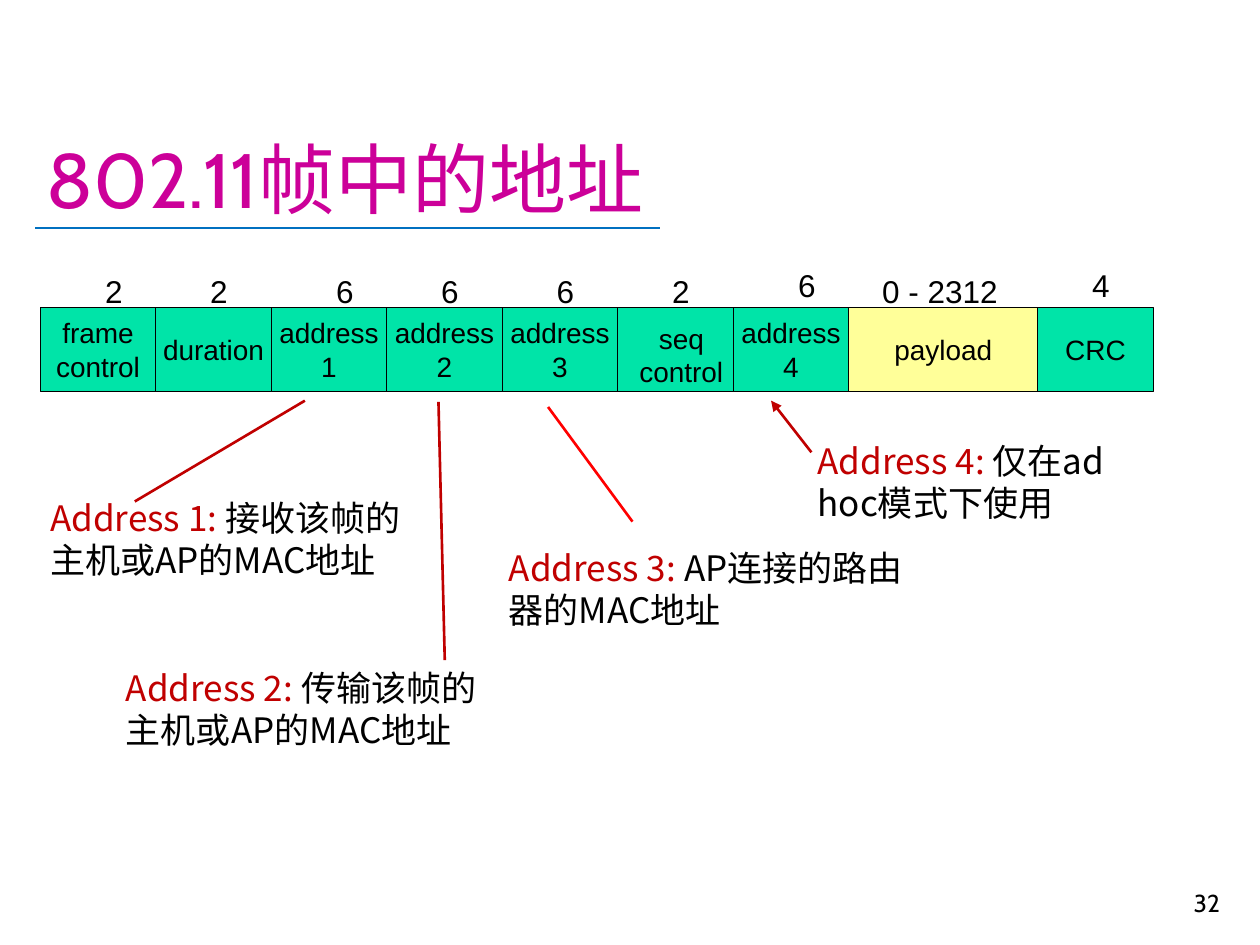
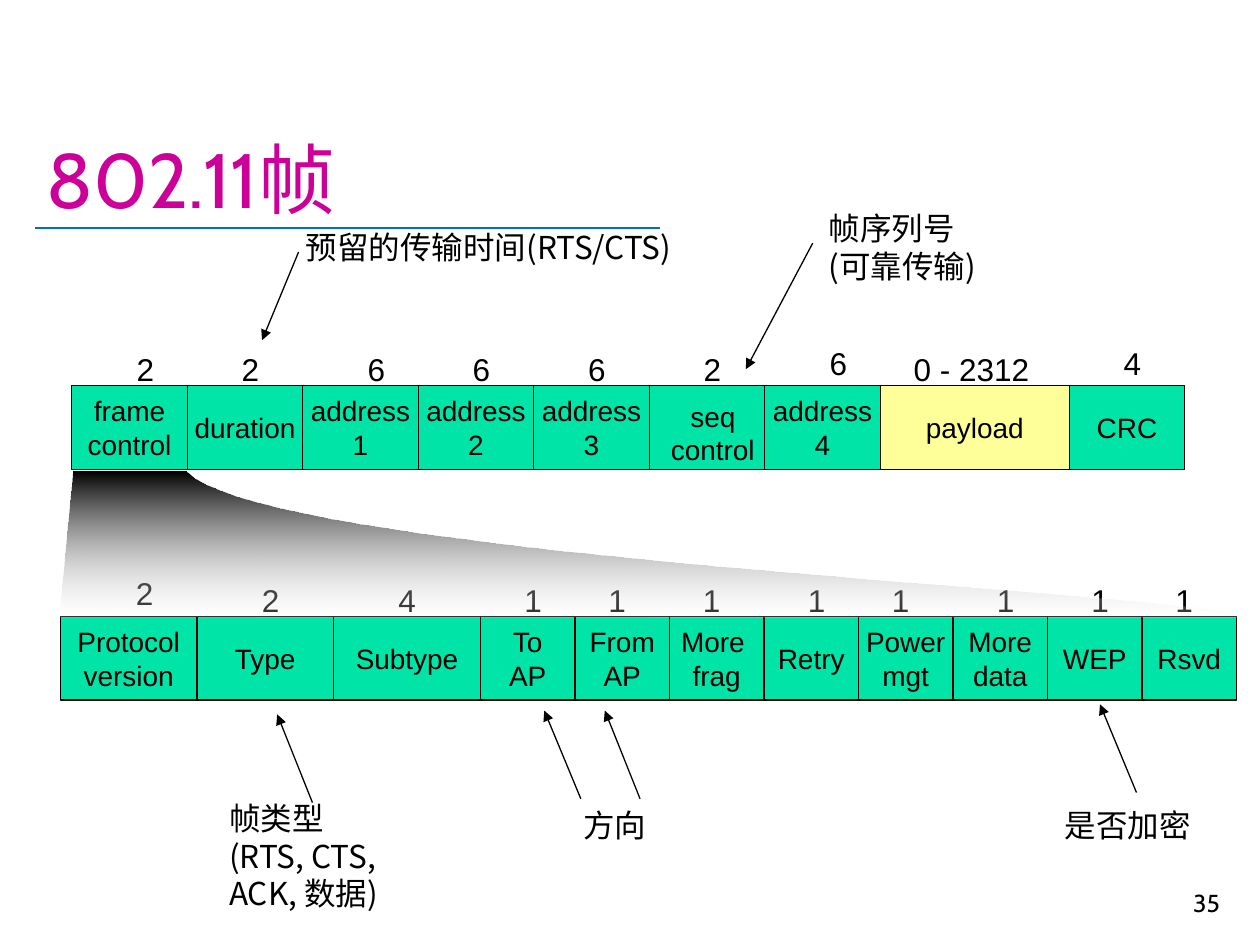
from dataclasses import dataclass
from typing import NamedTuple

from lxml.etree import SubElement
from pptx import Presentation
from pptx.dml.color import RGBColor
from pptx.enum.shapes import MSO_CONNECTOR, MSO_SHAPE
from pptx.enum.text import MSO_ANCHOR as Anchor, MSO_AUTO_SIZE as AutoSize, PP_ALIGN as Align
from pptx.oxml.ns import qn
from pptx.util import Inches, Pt


class TextStyle(NamedTuple):
    font: str
    size: int
    color: str


@dataclass(frozen=True)
class Theme:
    black: str = "000000"
    white: str = "FFFFFF"
    rule: str = "0070C0"
    field: str = "00E4A8"
    payload: str = "FFFF99"
    accent: str = "C00000"
    red: str = "FF0000"
    east_asian: str = "Noto Sans CJK SC"
    title: TextStyle = TextStyle("Cabin", 44, "CC0099")
    number: TextStyle = TextStyle("Cabin", 14, "000000")
    label: TextStyle = TextStyle("Arial", 16, "000000")
    length: TextStyle = TextStyle("Arial", 18, "000000")
    address: TextStyle = TextStyle("Noto Sans CJK SC", 20, "000000")
    note: TextStyle = TextStyle("Noto Sans CJK SC", 18, "000000")


THEME = Theme()
UNIT = 1 / 12
FIELD_HEIGHT = 8 * UNIT


class Box(NamedTuple):
    left: float
    top: float
    width: float
    height: float


class Field(NamedTuple):
    label: str
    units: int
    length: str
    length_offset: int
    raised: bool = False
    floating: bool = False
    fill: str = THEME.field
    length_width: float = 0.34


class Note(NamedTuple):
    text: str
    box: Box
    lead: str = ""
    wrap: bool = False


class Pointer(NamedTuple):
    start: tuple[float, float]
    end: tuple[float, float]
    color: str = THEME.black
    width: float = 0.75
    arrow: bool = True


FRAME_FIELDS = [
    Field("frame\ncontrol", 11, "2", 5),
    Field("duration", 11, "2", 4),
    Field("address\n1", 11, "6", 5),
    Field("address\n2", 11, "6", 4),
    Field("address\n3", 11, "6", 4),
    Field("seq\ncontrol", 11, "2", 4, floating=True),
    Field("address\n4", 11, "6", 5, raised=True),
    Field("payload", 18, "0 - 2312", 2, fill=THEME.payload, length_width=1.12),
    Field("CRC", 11, "4", 4, raised=True),
]

CONTROL_FIELDS = [
    Field("Protocol\nversion", 13, "2", 6, raised=True),
    Field("Type", 13, "2", 5),
    Field("Subtype", 14, "4", 5),
    Field("To\nAP", 9, "1", 3),
    Field("From\nAP", 9, "1", 2),
    Field("More \nfrag", 9, "1", 2),
    Field("Retry", 9, "1", 3),
    Field("Power\nmgt", 9, "1", 2),
    Field("More\ndata", 9, "1", 3),
    Field("WEP", 9, "1", 3),
    Field("Rsvd", 9, "1", 2),
]

ADDRESS_NOTES = [
    Note("传输该帧的\v主机或AP的MAC地址", Box(0.9, 5.24, 3.15, 0.77), "Address 2: "),
    Note("接收该帧的\v主机或AP的MAC地址", Box(0.3, 3.89, 3.15, 0.77), "Address 1: "),
    Note("AP连接的路由器的MAC地址", Box(3.94, 4.29, 3.34, 0.77), "Address 3: ", True),
    Note("仅在ad hoc模式下使用", Box(6.39, 3.44, 2.85, 0.77), "Address 4: ", True),
]

ADDRESS_POINTERS = [
    Pointer((1.07, 3.98), (2.42, 3.18), THEME.accent, 1.5, False),
    Pointer((3.53, 5.24), (3.48, 3.19), THEME.accent, 1.5, False),
    Pointer((5.02, 4.14), (4.35, 3.23), THEME.red, 1.5, False),
    Pointer((6.44, 3.59), (6.12, 3.18), THEME.accent, 1.5),
]

FRAME_NOTES = [
    Note("预留的传输时间(RTS/CTS)", Box(2.33, 1.76, 3.21, 0.4)),
    Note("帧序列号\n(可靠传输)", Box(6.48, 1.61, 1.46, 0.71)),
    Note("帧类型\v(RTS, CTS, ACK, 数据)", Box(1.72, 6.29, 1.78, 1.01), wrap=True),
    Note("是否加密", Box(8.35, 6.35, 1.22, 0.4)),
    Note("方向", Box(4.53, 6.35, 0.71, 0.4)),
]

FRAME_POINTERS = [
    Pointer((2.37, 2), (2.08, 2.7)),
    Pointer((6.45, 1.93), (5.92, 2.93)),
    Pointer((2.48, 6.37), (2.2, 5.67)),
    Pointer((9.02, 6.29), (8.73, 5.59)),
    Pointer((4.61, 6.34), (4.32, 5.64)),
    Pointer((5.08, 6.34), (4.8, 5.64)),
]


def rgb(color: str) -> RGBColor:
    return RGBColor.from_string(color)


def write_text(s, text: str, style: TextStyle, align=Align.LEFT, anchor=Anchor.TOP,
               wrap: bool = False, lead: str = "") -> None:
    tf = s.text_frame
    tf.word_wrap = wrap
    tf.vertical_anchor = anchor
    for i, line in enumerate(text.split("\n")):
        p = tf.paragraphs[0] if i == 0 else tf.add_paragraph()
        p.alignment = align
        p.font.name = style.font
        p.font.size = Pt(style.size)
        p.font.color.rgb = rgb(style.color)
        if lead:
            r = p.add_run()
            r.text = lead
            r.font.color.rgb = rgb(THEME.accent)
        for j, part in enumerate(line.split("\v")):
            if j:
                p.add_line_break()
            p.add_run().text = part
    for latin in list(s.element.iter(qn("a:latin"))):
        east_asian = latin.makeelement(qn("a:ea"), {"typeface": THEME.east_asian})
        latin.addnext(east_asian)


def add_text(slide, box: Box, text: str, style: TextStyle, grow: bool = True, **layout) -> None:
    s = slide.shapes.add_textbox(*map(Inches, box))
    write_text(s, text, style, **layout)
    if grow:
        s.text_frame.auto_size = AutoSize.SHAPE_TO_FIT_TEXT


def add_pointer(slide, pointer: Pointer) -> None:
    ends = map(Inches, (*pointer.start, *pointer.end))
    s = slide.shapes.add_connector(MSO_CONNECTOR.STRAIGHT, *ends)
    s.line.color.rgb = rgb(pointer.color)
    s.line.width = Pt(pointer.width)
    if pointer.arrow:
        SubElement(s.line._get_or_add_ln(), qn("a:tailEnd"), type="triangle")
    SubElement(s.element.spPr, qn("a:effectLst"))


def add_fields(slide, fields: list[Field], left: float, top: float) -> None:
    x = left
    for field in fields:
        width = field.units * UNIT
        s = slide.shapes.add_shape(
            MSO_SHAPE.RECTANGLE, *map(Inches, (x, top, width, FIELD_HEIGHT)))
        s.shadow.inherit = False
        s.fill.solid()
        s.fill.fore_color.rgb = rgb(field.fill)
        s.line.color.rgb = rgb(THEME.black)
        s.line.width = Pt(0.75)
        if field.floating:
            add_text(slide, Box(x + 0.07, top + 0.06, 0.87, 0.64),
                     field.label, THEME.label, align=Align.CENTER)
        else:
            write_text(s, field.label, THEME.label, Align.CENTER, Anchor.MIDDLE)
        length_top = top - (0.38 if field.raised else 0.33)
        add_text(slide, Box(x + field.length_offset * UNIT, length_top, field.length_width, 0.4),
                 field.length, THEME.length)
        x += width


def add_zoom_shade(slide) -> None:
    curve = [(9.83, 4.9), (10, 4.71), (2.16, 4.45), (1.48, 3.74)]
    steps = 40
    outline = [(0.47, 4.89)]
    for i in range(steps + 1):
        t = i / steps
        weights = ((1 - t) ** 3, 3 * t * (1 - t) ** 2, 3 * t * t * (1 - t), t ** 3)
        outline.append(tuple(sum(w * pt[axis] for w, pt in zip(weights, curve))
                             for axis in (0, 1)))
    builder = slide.shapes.build_freeform(Inches(0.58), Inches(3.74))
    builder.add_line_segments([(Inches(x), Inches(y)) for x, y in outline], close=True)
    s = builder.convert_to_shape()
    s.shadow.inherit = False
    s.line.fill.background()
    s.fill.gradient()
    s.fill.gradient_angle = 270
    for stop, color in zip(s.fill.gradient_stops, (THEME.black, THEME.white)):
        stop.color.rgb = rgb(color)
    last_color = list(s.element.spPr.iter(qn("a:srgbClr")))[-1]
    SubElement(last_color, qn("a:alpha"), val="18000")


def add_base_slide(prs, title: str, number: int):
    slide = prs.slides.add_slide(prs.slide_layouts[6])
    add_pointer(slide, Pointer((0.28, 1.81), (5.24, 1.81), THEME.rule, 1.25, False))
    add_text(slide, Box(0.27, 0.23, 9.51, 1.6), title, THEME.title,
             grow=False, anchor=Anchor.BOTTOM, wrap=True)
    add_text(slide, Box(7.7, 6.83, 2.08, 0.5), str(number), THEME.number,
             grow=False, align=Align.RIGHT, anchor=Anchor.BOTTOM, wrap=True)
    return slide


def add_notes(slide, notes: list[Note], pointers: list[Pointer], style: TextStyle) -> None:
    for note in notes:
        add_text(slide, note.box, note.text, style, wrap=note.wrap, lead=note.lead)
    for pointer in pointers:
        add_pointer(slide, pointer)


def main() -> None:
    prs = Presentation()
    prs.slide_width, prs.slide_height = Inches(10), Inches(7.5)

    addresses = add_base_slide(prs, "802.11帧中的地址", 32)
    add_fields(addresses, FRAME_FIELDS, 0.32, 2.44)
    add_notes(addresses, ADDRESS_NOTES, ADDRESS_POINTERS, THEME.address)

    frame = add_base_slide(prs, "802.11帧", 35)
    add_fields(frame, FRAME_FIELDS, 0.57, 3.06)
    add_fields(frame, CONTROL_FIELDS, 0.48, 4.89)
    add_zoom_shade(frame)
    add_notes(frame, FRAME_NOTES, FRAME_POINTERS, THEME.note)

    prs.save("out.pptx")


if __name__ == "__main__":
    main()
